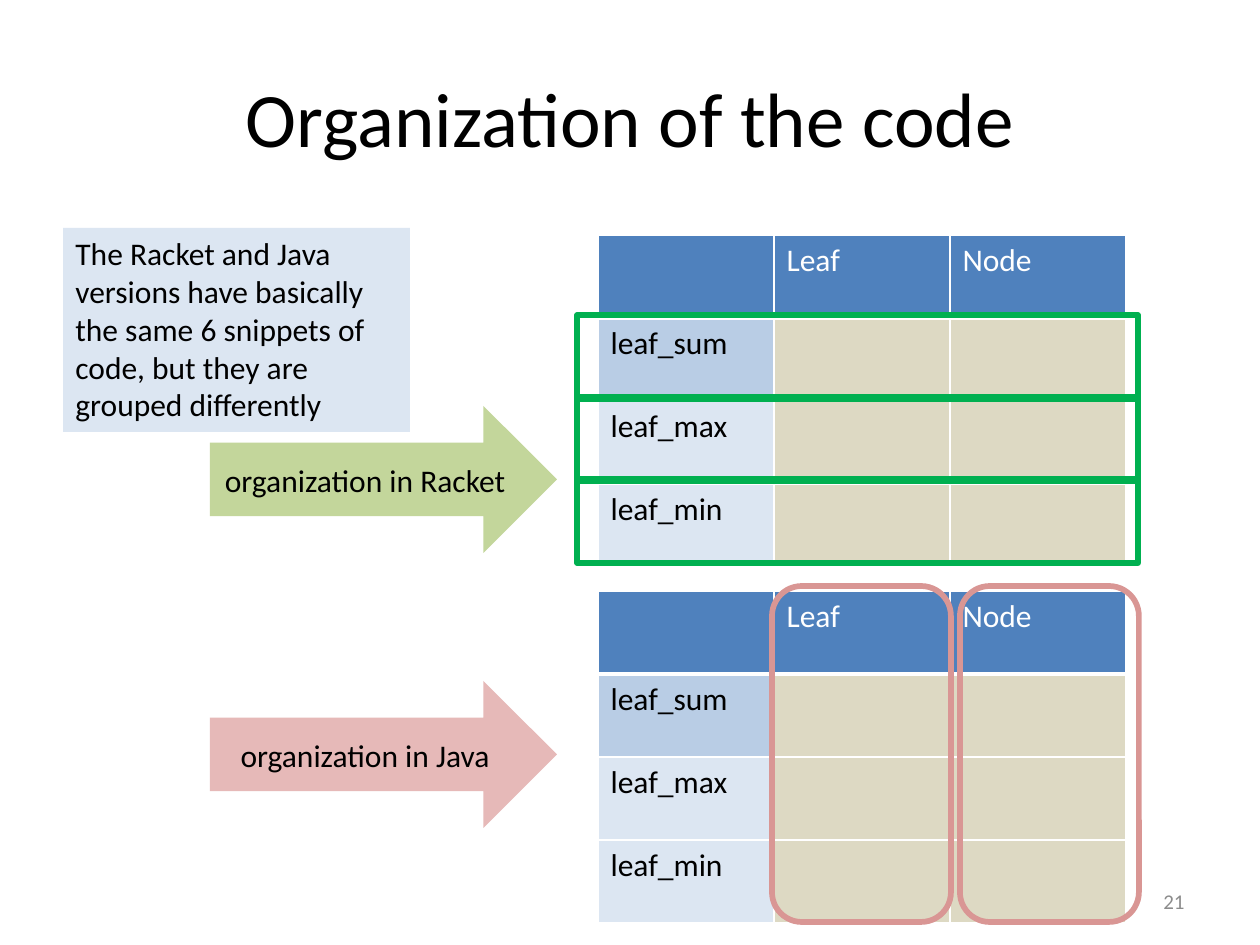
from lxml import etree
from pptx import Presentation, util as u
from pptx.dml.color import RGBColor
from pptx.enum import shapes, text
from pptx.oxml.ns import qn

PX = 914400 / 126
FONT = "Calibri"
ROWS = ["leaf_sum", "leaf_max", "leaf_min"]
COLS = ["", "Leaf", "Node"]
CELL_W, CELL_H = 176, 83
GRID_X = 598
KIND = shapes.MSO_SHAPE
ALIGN = text.PP_ALIGN
MID = text.MSO_ANCHOR.MIDDLE


def px(n):
    return u.Emu(round(n * PX))


def rgb(code):
    return RGBColor.from_string(code)


def write(frame, words, size=18, color="000000", align=ALIGN.LEFT, **form):
    for key, val in form.items():
        setattr(frame, key, val)
    para = frame.paragraphs[0]
    para.text = words
    para.alignment = align
    for key, val in {"name": FONT, "size": u.Pt(size)}.items():
        setattr(para.font, key, val)
    para.font.color.rgb = rgb(color)


def label(slide, box, words, **form):
    item = slide.shapes.add_textbox(*map(px, box))
    write(item.text_frame, words, word_wrap=True, **form)
    return item


def shape(slide, kind, box, fill=None, line=None, width=3):
    item = slide.shapes.add_shape(kind, *map(px, box))
    item.shadow.inherit = False
    if fill:
        item.fill.solid()
        item.fill.fore_color.rgb = rgb(fill)
    else:
        item.fill.background()
    if line:
        item.line.color.rgb = rgb(line)
        item.line.width = u.Pt(width)
    else:
        item.line.fill.background()
    return item


def arrow(slide, top, fill, words):
    item = shape(slide, KIND.RIGHT_ARROW, (210, top, 347, 147), fill)
    write(item.text_frame, words, align=ALIGN.CENTER, vertical_anchor=MID)


def border(cell, base):
    # Cell edges: white, with a thicker base under the header
    props = cell._tc.get_or_add_tcPr()
    for side, width in zip("LRTB", (1, 1, 1, base)):
        line = etree.SubElement(props, qn(f"a:ln{side}"), w=str(u.Pt(width)))
        fill = etree.SubElement(line, qn("a:solidFill"))
        etree.SubElement(fill, qn("a:srgbClr"), val="FFFFFF")


def grid(slide, top):
    box = (GRID_X, top, CELL_W * 3, CELL_H * 4)
    table = slide.shapes.add_table(4, 3, *map(px, box)).table
    for col in table.columns:
        col.width = px(CELL_W)
    for r, name in enumerate([""] + ROWS):
        table.rows[r].height = px(CELL_H)
        for c, head in enumerate(COLS):
            cell = table.cell(r, c)
            border(cell, 1 if r else 3)
            if r == 0:
                fill, words, color = "4F81BD", head, "FFFFFF"
            elif c == 0:
                fill, words, color = "B9CDE5" if r == 1 else "DCE6F2", name, "000000"
            else:
                fill, words, color = "DDD9C3", "", "000000"
            cell.fill.solid()
            cell.fill.fore_color.rgb = rgb(fill)
            write(cell.text_frame, words, color=color)


def main():
    prs = Presentation()
    prs.slide_width, prs.slide_height = px(1260), px(945)
    slide = prs.slides.add_slide(prs.slide_layouts[6])

    # Title, page number and note
    label(slide, (63, 38, 1134, 158), "Organization of the code",
          size=44, align=ALIGN.CENTER, vertical_anchor=MID)
    label(slide, (903, 876, 294, 50), "21", size=12, color="8C8C8C",
          align=ALIGN.RIGHT, vertical_anchor=MID)
    note = label(slide, (63, 228, 347, 204),
                 "The Racket and Java versions have basically the same 6 snippets "
                 "of code, but they are grouped differently")
    note.fill.solid()
    note.fill.fore_color.rgb = rgb("DCE6F2")

    # Tables
    for top in (235, 591):
        grid(slide, top)

    # Java groups by column, Racket by row
    for i in range(2):
        shape(slide, KIND.ROUNDED_RECTANGLE, (772 + 188 * i, 586, 179, 336),
              line="D99694", width=3.25)
    for i in range(3):
        shape(slide, KIND.RECTANGLE, (577, 315 + 82 * i, 561, 84), line="00B050")

    # Arrows
    arrow(slide, 406, "C3D69B", "organization in Racket")
    arrow(slide, 681, "E6B9B8", "organization in Java")

    prs.save("out.pptx")


if __name__ == "__main__":
    main()
